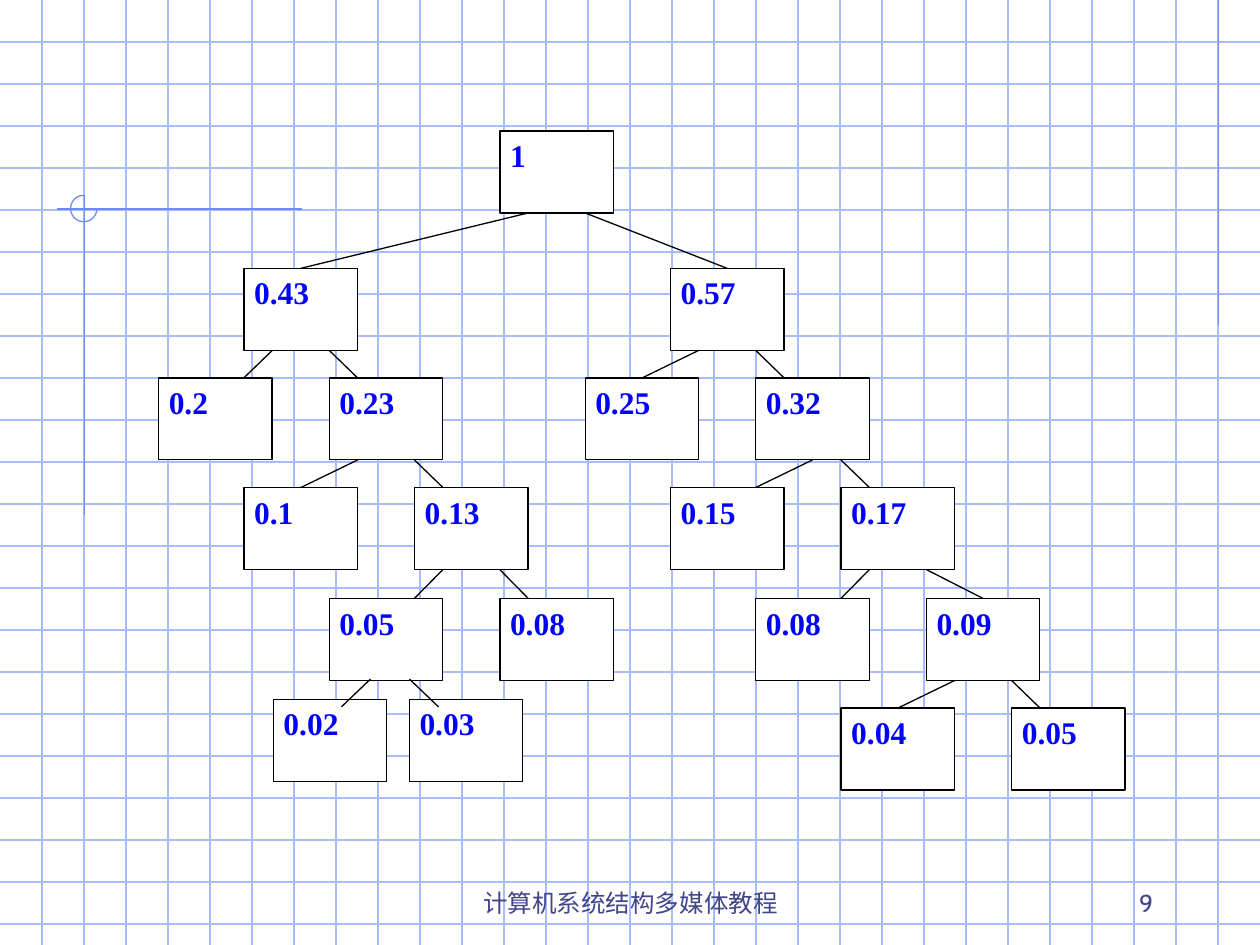
import pptx
import pptx.util
import pptx.dml.color
import pptx.enum.shapes
import pptx.enum.text
import pptx.oxml.ns
from lxml import etree

Inches = pptx.util.Inches
Pt = pptx.util.Pt
RGBColor = pptx.dml.color.RGBColor
MSO_SHAPE = pptx.enum.shapes.MSO_SHAPE
PP_ALIGN = pptx.enum.text.PP_ALIGN
MSO_ANCHOR = pptx.enum.text.MSO_ANCHOR

GRID = RGBColor(0xA7, 0xBD, 0xFB)
ACCENT = RGBColor(0x6F, 0x89, 0xF7)
FOOTER = RGBColor(0x40, 0x45, 0x8C)
BLUE = RGBColor(0x00, 0x00, 0xFF)
BLACK = RGBColor(0x00, 0x00, 0x00)
WHITE = RGBColor(0xFF, 0xFF, 0xFF)

SLIDE_W, SLIDE_H = 10, 7.5
NODE_W, NODE_H = 0.9, 0.65
ROW_TOPS = (1.04, 2.13, 3, 3.87, 4.75, 5.62)

# Regular nodes: (column, row) -> probability
NODES = {
    (4, 0): "1",
    (1, 1): "0.43", (6, 1): "0.57",
    (0, 2): "0.2", (2, 2): "0.23", (5, 2): "0.25", (7, 2): "0.32",
    (1, 3): "0.1", (3, 3): "0.13", (6, 3): "0.15", (8, 3): "0.17",
    (2, 4): "0.05", (4, 4): "0.08", (7, 4): "0.08", (9, 4): "0.09",
    (8, 5): "0.04", (10, 5): "0.05",
}

# Branches: parent, child, share of the width where each end sits
BRANCHES = (
    ((4, 0), (1, 1), 0.25, 0.5), ((4, 0), (6, 1), 0.75, 0.5),
    ((1, 1), (0, 2), 0.25, 0.75), ((1, 1), (2, 2), 0.75, 0.25),
    ((6, 1), (5, 2), 0.25, 0.5), ((6, 1), (7, 2), 0.75, 0.25),
    ((2, 2), (1, 3), 0.25, 0.5), ((2, 2), (3, 3), 0.75, 0.25),
    ((7, 2), (6, 3), 0.5, 0.75), ((7, 2), (8, 3), 0.75, 0.25),
    ((3, 3), (2, 4), 0.25, 0.75), ((3, 3), (4, 4), 0.75, 0.25),
    ((8, 3), (7, 4), 0.25, 0.75), ((8, 3), (9, 4), 0.75, 0.5),
    ((9, 4), (8, 5), 0.25, 0.5), ((9, 4), (10, 5), 0.75, 0.25),
)


def node_position(cell):
    column, row = cell
    return 1.26 + column * 6.77 / 10, ROW_TOPS[row]


def add_line(shapes, x1, y1, x2, y2, color):
    line = shapes.add_connector(
        pptx.enum.shapes.MSO_CONNECTOR.STRAIGHT,
        Inches(x1), Inches(y1), Inches(x2), Inches(y2))
    line.line.color.rgb = color
    line.line.width = Pt(0.75)
    etree.SubElement(line._element.spPr, pptx.oxml.ns.qn("a:effectLst"))


def add_run(p, text, size, font, color, bold=False):
    r = p.add_run()
    r.text = text
    r.font.size = Pt(size)
    r.font.name = font
    r.font.bold = bold
    r.font.color.rgb = color


def add_node(shapes, x, y, text):
    sp = shapes.add_shape(MSO_SHAPE.RECTANGLE, Inches(x), Inches(y),
                          Inches(NODE_W), Inches(NODE_H))
    sp.shadow.inherit = False
    sp.fill.solid()
    sp.fill.fore_color.rgb = WHITE
    sp.line.color.rgb = BLACK
    sp.line.width = Pt(0.75)
    tf = sp.text_frame
    tf.word_wrap = True
    tf.vertical_anchor = MSO_ANCHOR.TOP
    tf.margin_left = tf.margin_right = Inches(0.08)
    tf.margin_top = tf.margin_bottom = Inches(0.04)
    p = tf.paragraphs[0]
    p.alignment = PP_ALIGN.JUSTIFY
    add_run(p, text, 18, "Times New Roman", BLUE, bold=True)


def add_footer(shapes, x, width, text, align):
    sp = shapes.add_textbox(Inches(x), Inches(6.83), Inches(width), Inches(0.5))
    tf = sp.text_frame
    tf.word_wrap = True
    tf.vertical_anchor = MSO_ANCHOR.BOTTOM
    p = tf.paragraphs[0]
    p.alignment = align
    add_run(p, text, 14, "Cabin", FOOTER)


def add_background(shapes):
    # Graph paper, three lines to the inch
    for i in range(1, 23):
        add_line(shapes, 0, i / 3, SLIDE_W, i / 3, GRID)
    for i in range(1, 30):
        add_line(shapes, i / 3, 0, i / 3, SLIDE_H, GRID)

    # Accent lines and three-quarter circle
    add_line(shapes, 9.67, 0, 9.67, 2.58, ACCENT)
    add_line(shapes, 2.4, 1.66, 0.45, 1.66, ACCENT)
    add_line(shapes, 0.67, 1.55, 0.67, 4.09, ACCENT)
    arc = shapes.add_shape(MSO_SHAPE.ARC, Inches(0.56), Inches(1.55),
                           Inches(0.21), Inches(0.21))
    arc.adjustments[0] = 0
    arc.adjustments[1] = 270 * 0.6  # degrees to adjustment units
    arc.shadow.inherit = False
    arc.fill.background()
    arc.line.color.rgb = ACCENT
    arc.line.width = Pt(0.75)


def add_tree(shapes):
    # Nodes; the lowest left pair stands off the column grid
    add_node(shapes, 3.25, 5.55, "0.03")
    add_node(shapes, 2.17, 5.55, "0.02")
    for cell, text in NODES.items():
        add_node(shapes, *node_position(cell), text)

    # Branches
    for parent, child, start, end in BRANCHES:
        px, py = node_position(parent)
        cx, cy = node_position(child)
        add_line(shapes, px + start * NODE_W, py + NODE_H,
                 cx + end * NODE_W, cy, BLACK)
    add_line(shapes, 2.94, 5.39, 2.71, 5.61, BLACK)
    add_line(shapes, 3.25, 5.39, 3.48, 5.61, BLACK)


def main():
    prs = pptx.Presentation()
    prs.slide_width, prs.slide_height = Inches(SLIDE_W), Inches(SLIDE_H)
    s = prs.slides.add_slide(prs.slide_layouts[6])
    s.background.fill.solid()
    s.background.fill.fore_color.rgb = WHITE

    add_background(s.shapes.add_group_shape().shapes)
    add_footer(s.shapes, 3.42, 3.17, "计算机系统结构多媒体教程", PP_ALIGN.CENTER)
    add_footer(s.shapes, 7.17, 2.08, "9", PP_ALIGN.RIGHT)
    add_tree(s.shapes.add_group_shape().shapes)
    prs.save("out.pptx")


if __name__ == "__main__":
    main()
